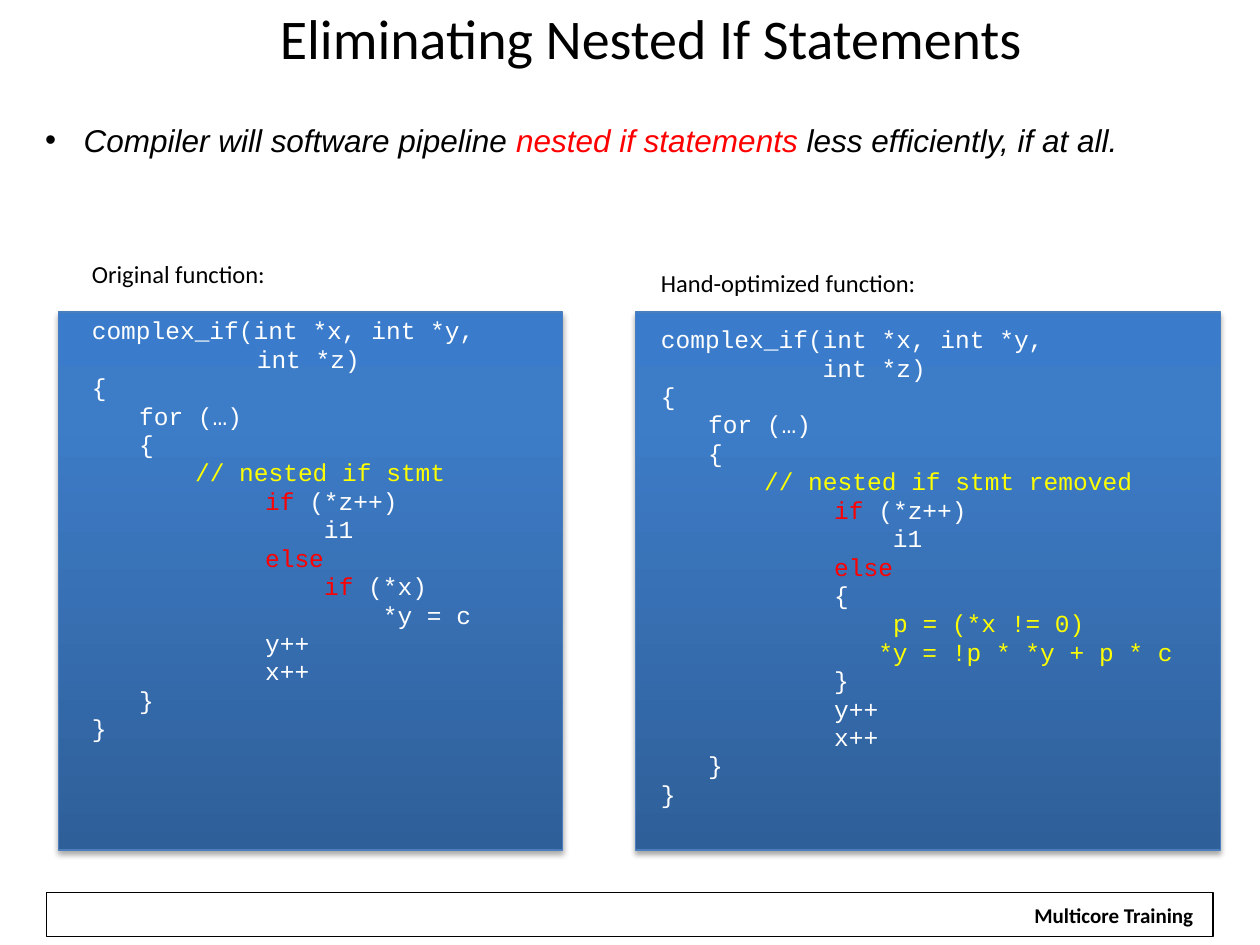
"""Build a slide that compares a nested-if function with its hand-optimized form."""
from dataclasses import dataclass

from lxml import etree
from pptx import Presentation
from pptx.dml.color import RGBColor
from pptx.enum.shapes import MSO_SHAPE as SHAPE
from pptx.enum.text import MSO_ANCHOR as ANCHOR, PP_ALIGN as ALIGN
from pptx.oxml import parse_xml
from pptx.oxml.ns import nsdecls, qn
from pptx.util import Pt


@dataclass(frozen=True)
class Theme:
    black: str = "000000"
    white: str = "FFFFFF"
    red: str = "FF0000"
    yellow: str = "FFFF00"
    edge: str = "4B7EBC"
    gradient: tuple = ((0, "2F5F99"), (80, "3D7CC7"), (100, "3A7CCB"))
    heading: str = "Calibri"
    body: str = "Arial"
    code: str = "Courier New"
    title_size: int = 32
    bullet_size: int = 18
    code_size: int = 14
    footer_size: int = 12


T = Theme()


def code_lines(second_line, comment, branch):
    return [
        "complex_if(int *x, int *y,", second_line, "{", "\tfor (…)", "\t{",
        ("       ", (comment, T.yellow)),
        ("\t\t", ("if", T.red), " (*z++)"), "\t\t    i1",
        ("\t\t", ("else", T.red)),
        *branch,
        "\t\ty++", "\t\tx++", "\t}", "}",
    ]


ORIGINAL = code_lines(
    "\t        int *z)", "// nested if stmt",
    [("\t\t    ", ("if", T.red), " (*x)"), "\t\t        *y = c"])
OPTIMIZED = code_lines(
    "           int *z)", "// nested if stmt removed",
    ["\t\t{", ("\t\t    ", ("p = (*x != 0)", T.yellow)),
     (("\t\t   *y = !p * *y + p * c", T.yellow),), "\t\t}"])


def write(p, text, size=T.code_size, font=T.heading, color=T.black,
          bold=False, italic=False, align=None):
    """Fill a paragraph from a string, or from a tuple of strings and (string, colour) pairs."""
    p.alignment = align
    for part in (text,) if isinstance(text, str) else text:
        words, tint = (part, color) if isinstance(part, str) else part
        r = p.add_run()
        r.text = words
        f = r.font
        f.name, f.size, f.bold, f.italic = font, Pt(size), bold, italic
        f.color.rgb = RGBColor.from_string(tint)


def indent(p, width, bullet=None):
    pPr = p._p.get_or_add_pPr()
    pPr.set("marL", str(Pt(width)))
    pPr.set("indent", str(-Pt(width)))
    pPr.set("defTabSz", str(Pt(72)))
    if bullet:
        etree.SubElement(pPr, qn("a:buFont")).set("typeface", T.body)
        etree.SubElement(pPr, qn("a:buChar")).set("char", bullet)


def add_text(s, x, y, w, h):
    tf = s.shapes.add_textbox(Pt(x), Pt(y), Pt(w), Pt(h)).text_frame
    tf.word_wrap = True
    return tf


def add_box(s, x, y, w, h, line=None):
    sp = s.shapes.add_shape(SHAPE.RECTANGLE, Pt(x), Pt(y), Pt(w), Pt(h))
    sp.shadow.inherit = False
    sp.fill.background()
    if line:
        sp.line.color.rgb = RGBColor.from_string(line)
        sp.line.width = Pt(0.75)
    else:
        sp.line.fill.background()
    return sp


def add_panel(s, x, y, w, h):
    spPr = add_box(s, x, y, w, h, T.edge)._element.spPr
    stops = "".join(f'<a:gs pos="{pos * 1000}"><a:srgbClr val="{color}"/></a:gs>'
                    for pos, color in T.gradient)
    spPr.replace(spPr.find(qn("a:noFill")), parse_xml(
        f'<a:gradFill {nsdecls("a")} rotWithShape="1"><a:gsLst>{stops}</a:gsLst>'
        '<a:lin ang="16200000" scaled="0"/></a:gradFill>'))
    spPr.replace(spPr.find(qn("a:effectLst")), parse_xml(
        f'<a:effectLst {nsdecls("a")}>'
        f'<a:outerShdw blurRad="{Pt(3.1)}" dist="{Pt(1.8)}" dir="5400000" rotWithShape="0">'
        f'<a:srgbClr val="{T.black}"><a:alpha val="35000"/></a:srgbClr>'
        '</a:outerShdw></a:effectLst>'))


def add_listing(s, x, y, w, label, lines):
    p = add_text(s, x, y, w, 24).paragraphs[0]
    p.line_spacing = 0.8
    write(p, label)
    tf = add_text(s, x, y + 32.3, w, len(lines) * 16.3 + 7.2)
    for i, line in enumerate(lines):
        p = tf.add_paragraph() if i else tf.paragraphs[0]
        p.line_spacing = 0.8
        p.space_before = Pt(2.8 if i else 0)
        indent(p, 27)
        write(p, line, font=T.code, color=T.white)


def add_title(s, text):
    sp = s.shapes.title
    sp.left, sp.top, sp.width, sp.height = Pt(24), Pt(0), Pt(696), Pt(42.5)
    sp.text_frame.vertical_anchor = ANCHOR.MIDDLE
    write(sp.text_frame.paragraphs[0], text, size=T.title_size, align=ALIGN.CENTER)


def add_bullet(s, text):
    p = add_text(s, 18.7, 65.5, 665, 29).paragraphs[0]
    indent(p, 22, bullet="•")
    write(p, text, size=T.bullet_size, font=T.body, italic=True)


def add_footer(s, text):
    add_box(s, 26.6, 509.8, 666.5, 25.2, T.black)
    sp = add_box(s, 583.2, 511.9, 106.6, 21.6)
    sp.fill.solid()
    sp.fill.fore_color.rgb = RGBColor.from_string(T.white)
    tf = sp.text_frame
    tf.word_wrap = False
    write(tf.paragraphs[0], text, size=T.footer_size, bold=True, align=ALIGN.CENTER)


def main():
    prs = Presentation()
    prs.slide_width, prs.slide_height = Pt(720), Pt(540)
    s = prs.slides.add_slide(prs.slide_layouts[5])
    add_footer(s, "Multicore Training")
    add_title(s, "Eliminating Nested If Statements")
    add_bullet(s, ("Compiler will software pipeline ",
                   ("nested if statements ", T.red),
                   "less efficiently, if at all."))
    for x, w in ((33.5, 288), (363.3, 334)):
        add_panel(s, x, 178.3, w, 307.5)
    add_listing(s, 45.4, 147.6, 318, "Original function:", ORIGINAL)
    add_listing(s, 370.6, 152.6, 349, "Hand-optimized function:", OPTIMIZED)
    prs.save("out.pptx")


if __name__ == "__main__":
    main()
